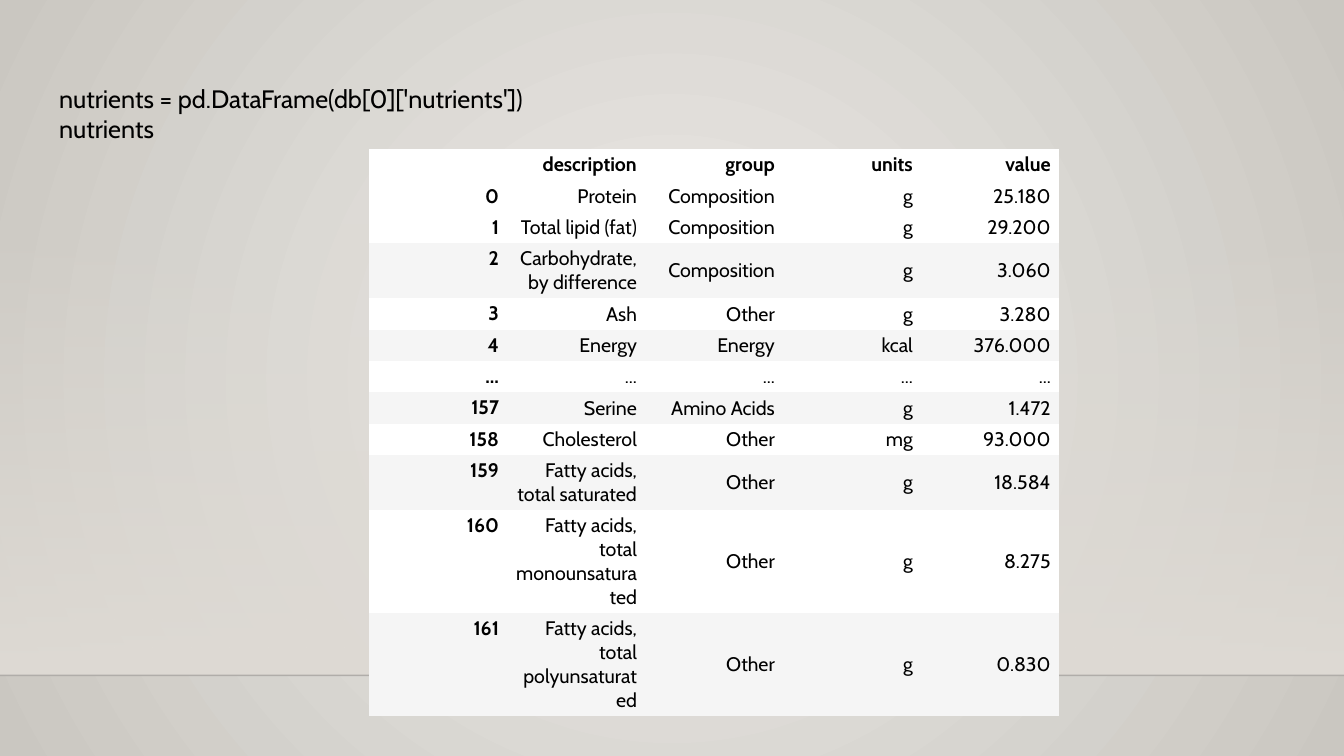
from dataclasses import dataclass

from lxml.etree import SubElement
from pptx import Presentation
from pptx.dml.color import RGBColor as RGB
from pptx.enum.shapes import MSO_CONNECTOR as CONN, MSO_SHAPE as SHAPE
from pptx.enum.text import MSO_ANCHOR as ANCHOR, MSO_AUTO_SIZE as AUTO, PP_ALIGN as ALIGN
from pptx.oxml.ns import qn
from pptx.util import Cm, Pt


@dataclass(frozen=True)
class Theme:
    font: str = "Cabin"
    code_size: int = 18
    table_size: int = 14
    ink: str = "000000"
    center: str = "ECEAE7"
    edge: str = "CAC7C1"
    floor: str = "DFDBD5"
    horizon: str = "000001"
    plain: str = "FFFFFF"
    shaded: str = "F5F5F5"


THEME = Theme()
WIDTH, HEIGHT = 33.87, 19.05
NO_GRID_STYLE = "{2D5ABB26-0587-4C30-8999-92F81FD0307C}"

CODE = ["nutrients = pd.DataFrame(db[0]['nutrients'])", "nutrients"]
HEADER = ["", "description", "group", "units", "value"]
# Lines of text, shaded or not, then the cells of the row
NUTRIENTS = [
    (1, False, ["0", "Protein", "Composition", "g", "25.180"]),
    (1, False, ["1", "Total lipid (fat)", "Composition", "g", "29.200"]),
    (2, True, ["2", "Carbohydrate, by difference", "Composition", "g", "3.060"]),
    (1, False, ["3", "Ash", "Other", "g", "3.280"]),
    (1, True, ["4", "Energy", "Energy", "kcal", "376.000"]),
    (1, False, ["..."] * 5),
    (1, True, ["157", "Serine", "Amino Acids", "g", "1.472"]),
    (1, False, ["158", "Cholesterol", "Other", "mg", "93.000"]),
    (2, True, ["159", "Fatty acids, total saturated", "Other", "g", "18.584"]),
    (4, False, ["160", "Fatty acids, total monounsaturated", "Other", "g", "8.275"]),
    (4, True, ["161", "Fatty acids, total polyunsaturated", "Other", "g", "0.830"]),
]


def set_attrs(obj, values):
    for name, value in values.items():
        setattr(obj, name, value)


def write(p, text, size, bold=False):
    r = p.add_run()
    r.text = text
    set_attrs(r.font, {"name": THEME.font, "size": Pt(size), "bold": bold})
    r.font.color.rgb = RGB.from_string(THEME.ink)


def set_gradient(fill, colors):
    fill.gradient()
    for stop, color in zip(fill.gradient_stops, colors):
        stop.color.rgb = RGB.from_string(color)


def set_alpha(color, percent):
    SubElement(color, qn("a:alpha")).set("val", str(percent * 1000))


def add_backdrop(s, box):
    x, y, w, h = box
    # Radial background
    set_gradient(s.background.fill, [THEME.center, THEME.edge])
    lin = s.element.xpath(".//p:bg//a:lin")[0]
    grad = lin.getparent()
    grad.remove(lin)
    circle = SubElement(grad, qn("a:path"), path="circle")
    SubElement(circle, qn("a:fillToRect"), l="50000", t="50000", r="50000", b="50000")

    # Wall fading in towards the floor
    wall = s.shapes.add_shape(SHAPE.RECTANGLE, Cm(x), Cm(y), Cm(w), Cm(h))
    wall.shadow.inherit = False
    wall.line.fill.background()
    set_gradient(wall.fill, [THEME.floor, THEME.floor])
    wall.fill.gradient_angle = 270
    set_alpha(wall.element.xpath(".//a:gs/a:srgbClr")[0], 0)

    # Horizon along the bottom of the wall
    horizon = s.shapes.add_connector(CONN.STRAIGHT, Cm(x), Cm(y + h), Cm(x + w), Cm(y + h))
    horizon.line.width = Pt(1)
    horizon.line.color.rgb = RGB.from_string(THEME.horizon)
    set_alpha(horizon.element.xpath(".//a:ln//a:srgbClr")[0], 20)
    SubElement(horizon.element.spPr, qn("a:effectLst"))


def add_code(s, box, lines):
    tf = s.shapes.add_textbox(*map(Cm, box)).text_frame
    set_attrs(tf, {"word_wrap": True, "auto_size": AUTO.SHAPE_TO_FIT_TEXT})
    for i, line in enumerate(lines):
        p = tf.add_paragraph() if i else tf.paragraphs[0]
        write(p, line, THEME.code_size)


def add_nutrient_table(s, box):
    rows = [(1, False, HEADER)] + NUTRIENTS
    frame = s.shapes.add_table(len(rows), len(HEADER), *map(Cm, box))
    table = frame.table
    set_attrs(table, {"first_row": False, "horz_banding": False})
    frame.element.xpath(".//a:tableStyleId")[0].text = NO_GRID_STYLE
    for column in table.columns:
        column.width = Cm(box[2] / len(HEADER))

    for i, (lines, shaded, texts) in enumerate(rows):
        table.rows[i].height = Cm(0.6 * lines + 0.19)
        for j, text in enumerate(texts):
            cell = table.cell(i, j)
            set_attrs(cell, {
                "margin_left": Cm(0.2), "margin_right": Cm(0.2),
                "margin_top": Cm(0.09), "margin_bottom": Cm(0.09),
                "vertical_anchor": ANCHOR.MIDDLE if j else ANCHOR.TOP,
            })
            cell.fill.solid()
            cell.fill.fore_color.rgb = RGB.from_string(THEME.shaded if shaded else THEME.plain)
            p = cell.text_frame.paragraphs[0]
            p.alignment = ALIGN.RIGHT
            if text:
                write(p, text, THEME.table_size, bold=i == 0 or j == 0)
            else:
                # Keeps the blank corner as low as its row
                SubElement(p._p, qn("a:endParaRPr")).set("sz", str(THEME.table_size * 100))


def main():
    prs = Presentation()
    set_attrs(prs, {"slide_width": Cm(WIDTH), "slide_height": Cm(HEIGHT)})
    s = prs.slides.add_slide(prs.slide_layouts[6])
    add_backdrop(s, (0, 5.61, WIDTH, 11.41))
    add_code(s, (1.24, 1.98, 16.94, 1.8), CODE)
    add_nutrient_table(s, (9.3, 3.76, 17.38, 14.28))
    prs.save("out.pptx")


if __name__ == "__main__":
    main()
